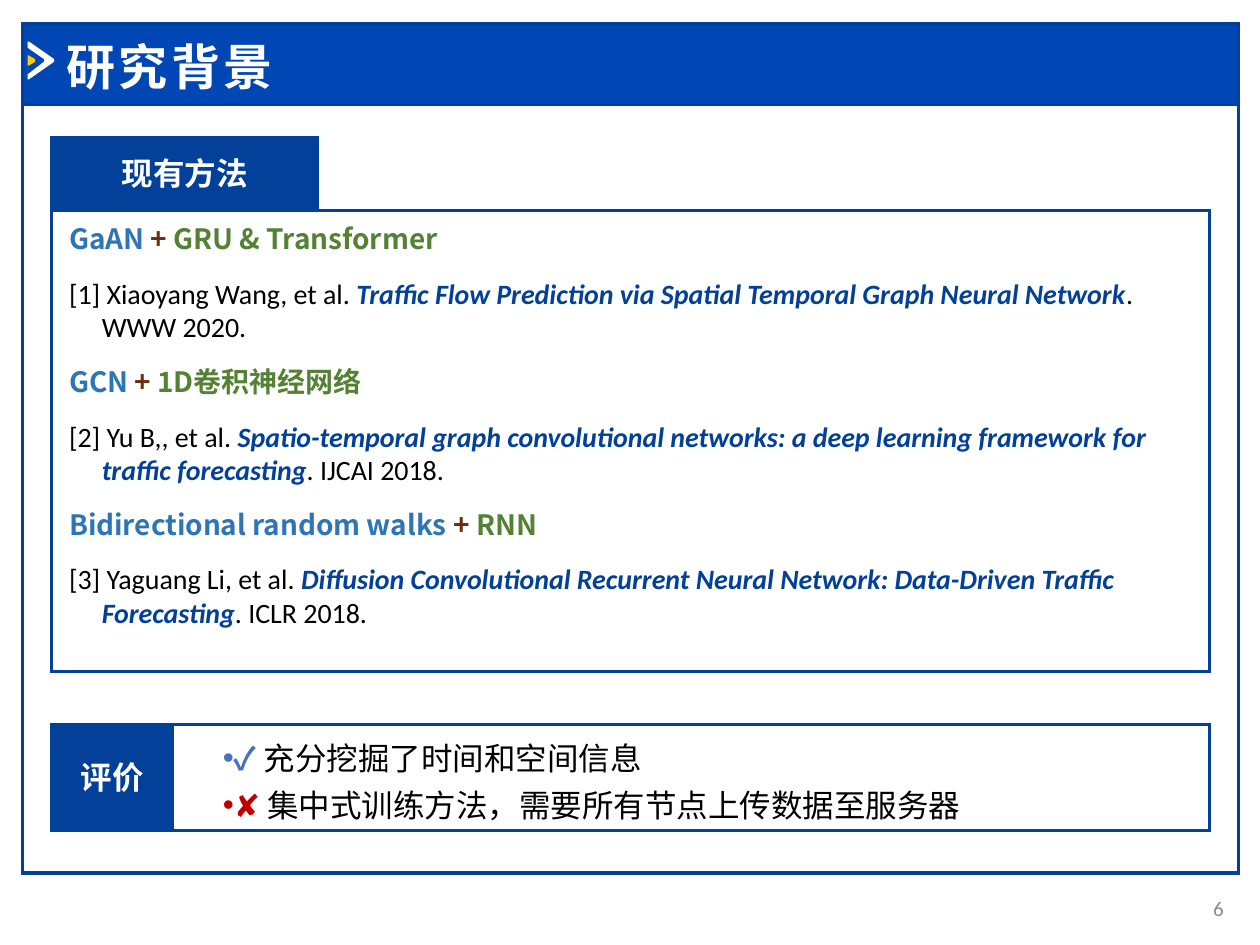
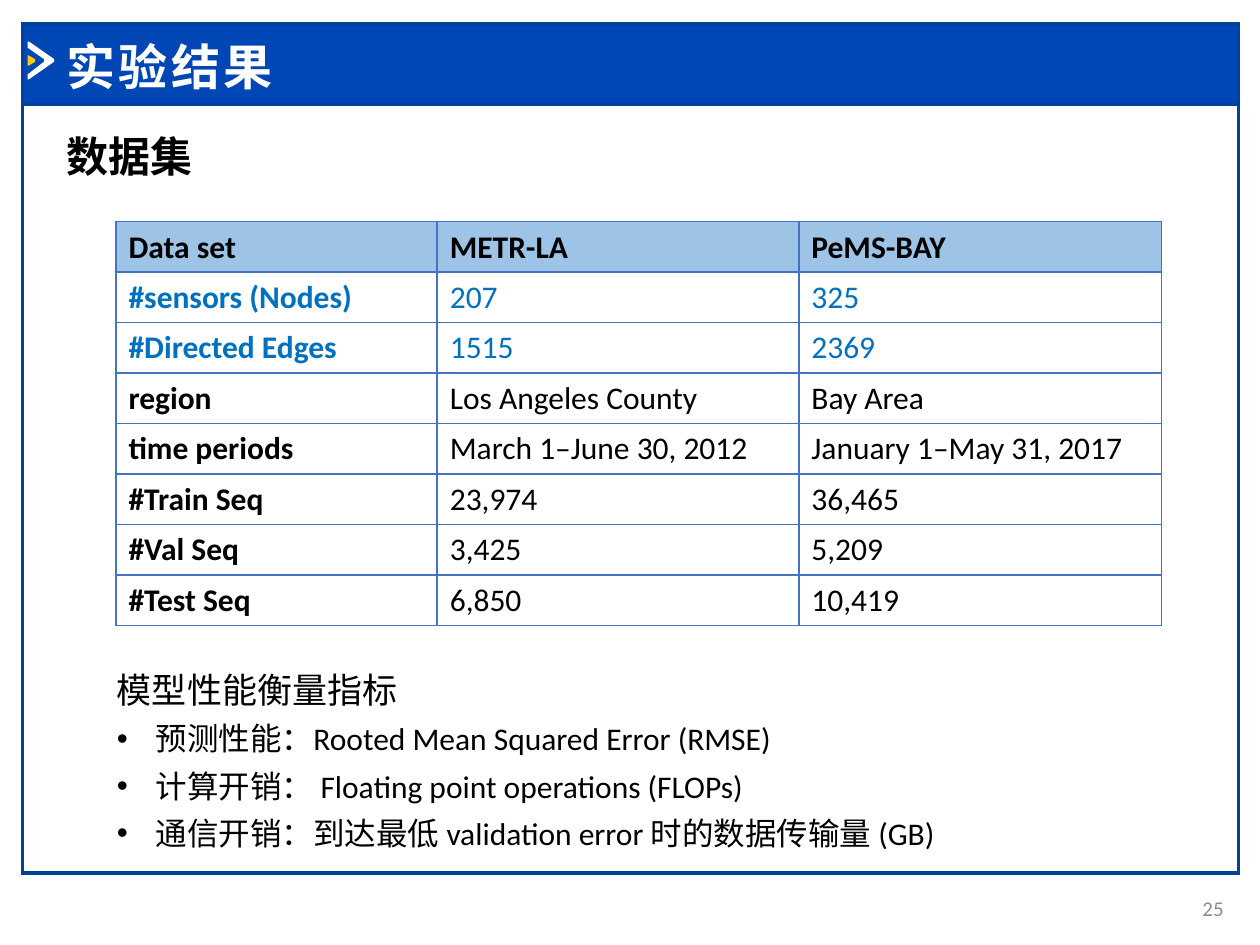
import pptx
import pptx.dml.color
import pptx.enum.shapes
import pptx.enum.text
import pptx.oxml.ns
import pptx.util
from lxml import etree

Inches = pptx.util.Inches
Pt = pptx.util.Pt
RGBColor = pptx.dml.color.RGBColor
qn = pptx.oxml.ns.qn
ALIGN = pptx.enum.text.PP_ALIGN
MIDDLE = pptx.enum.text.MSO_ANCHOR.MIDDLE

NAVY = RGBColor(0x02, 0x40, 0x9A)
BAND_BLUE = RGBColor(0x00, 0x47, 0xB5)
WHITE = RGBColor(0xFF, 0xFF, 0xFF)
BLACK = RGBColor(0x00, 0x00, 0x00)
YELLOW = RGBColor(0xFF, 0xCC, 0x00)
GREY = RGBColor(0x8C, 0x8C, 0x8C)
SPATIAL_BLUE = RGBColor(0x2E, 0x75, 0xB6)
PLUS_BROWN = RGBColor(0x6B, 0x2D, 0x0B)
TEMPORAL_GREEN = RGBColor(0x54, 0x82, 0x35)
BORDER_BLUE = RGBColor(0x44, 0x72, 0xC4)
RED = RGBColor(0xC0, 0x00, 0x00)
HEADER_BLUE = RGBColor(0x9D, 0xC3, 0xE6)
GRAPH_BLUE = RGBColor(0x00, 0x70, 0xC0)
LATIN = "Calibri"
CJK = "Noto Sans CJK SC"


def add_box(slide, left, top, width, height, line=None, fill=None):
    """Add a rectangle when a line width is given, otherwise a text box."""
    place = [Inches(length) for length in (left, top, width, height)]
    if line is None:
        box = slide.shapes.add_textbox(*place)
    else:
        box = slide.shapes.add_shape(pptx.enum.shapes.MSO_SHAPE.RECTANGLE, *place)
        box.shadow.inherit = False
        box.line.color.rgb = NAVY
        box.line.width = Pt(line)
        outline = box.line._get_or_add_ln()
        etree.SubElement(outline, qn("a:miter")).set("lim", "800000")
        if fill is None:
            box.fill.background()
        else:
            box.fill.solid()
            box.fill.fore_color.rgb = fill
    box.text_frame.word_wrap = True
    return box


def write(paragraph, runs, size, font=LATIN, margin=None, indent=0, bullet=False):
    """Fill a paragraph with runs of (text, colour, style), style using b and i."""
    properties = paragraph._p.get_or_add_pPr()
    if margin is not None:
        properties.set("marL", str(Inches(margin)))
        properties.set("indent", str(Inches(indent)))
    if bullet:
        etree.SubElement(properties, qn("a:buFont")).set("typeface", "Arial")
        etree.SubElement(properties, qn("a:buChar")).set("char", "•")
    for text, color, style in runs:
        run = paragraph.add_run()
        run.text = text
        run.font.size = Pt(size)
        run.font.name = font
        run.font.color.rgb = color
        run.font.bold = "b" in style
        run.font.italic = "i" in style
        latin = run.font._element.find(qn("a:latin"))
        east_asian = etree.Element(qn("a:ea"))
        east_asian.set("typeface", CJK)
        latin.addnext(east_asian)


prs = pptx.Presentation()
prs.slide_width = Inches(10)
prs.slide_height = Inches(7.5)

# Frame, title band, chevron and page number of every slide
# Chevron points are in hundredths of an inch
chevron_parts = [
    ([(22, 33), (23, 33), (43, 47), (43, 49), (23, 63), (22, 63),
      (22, 59), (35, 49), (35, 47), (22, 38)], WHITE),
    ([(22, 44), (23, 44), (28, 47), (28, 49), (23, 52), (22, 52)], YELLOW),
]
slides = []
for heading, page in [("研究背景", "6"), ("实验结果", "25")]:
    slide = prs.slides.add_slide(prs.slide_layouts[6])
    slides.append(slide)
    add_box(slide, 0.18, 0.83, 9.65, 6.1, line=2)
    add_box(slide, 0.18, 0.19, 9.65, 0.64, line=2, fill=BAND_BLUE)
    for points, color in chevron_parts:
        builder = slide.shapes.build_freeform(*points[0], scale=Inches(0.01))
        builder.add_line_segments(points[1:], close=True)
        chevron = builder.convert_to_shape()
        chevron.shadow.inherit = False
        chevron.fill.solid()
        chevron.fill.fore_color.rgb = color
        chevron.line.fill.background()

    number = add_box(slide, 9.22, 7.01, 0.59, 0.4).text_frame
    number.vertical_anchor = MIDDLE
    number.paragraphs[0].alignment = ALIGN.RIGHT
    write(number.paragraphs[0], [(page, GREY, "")], 12)

    title = add_box(slide, 0.43, 0.24, 8.28, 0.57).text_frame
    title.vertical_anchor = MIDDLE
    write(title.paragraphs[0], [(heading, WHITE, "b")], 28)
    title.paragraphs[0].runs[0].font._element.set("spc", "200")

background, results = slides

# Research background: panels with their labels
add_box(background, 0.41, 1.67, 9.19, 3.66, line=1.5)
add_box(background, 1.37, 5.75, 8.23, 0.84, line=1.5)
for label, place in [("现有方法", (0.41, 1.09, 2.11, 0.57)), ("评价", (0.41, 5.75, 0.96, 0.84))]:
    tab = add_box(background, *place, line=1.5, fill=NAVY).text_frame
    tab.vertical_anchor = MIDDLE
    tab.paragraphs[0].alignment = ALIGN.CENTER
    write(tab.paragraphs[0], [(label, WHITE, "b")], 18)

# Existing methods, each with its reference
methods = [
    ("GaAN ", "GRU & Transformer", "[1] Xiaoyang Wang, et al. ",
     "Traffic Flow Prediction via Spatial Temporal Graph Neural Network", ". WWW 2020."),
    ("GCN ", "1D卷积神经网络", "[2] Yu B,, et al. ",
     "Spatio-temporal graph convolutional networks: a deep learning framework for traffic forecasting",
     ". IJCAI 2018."),
    ("Bidirectional random walks ", "RNN", "[3] Yaguang Li, et al. ",
     "Diffusion Convolutional Recurrent Neural Network: Data-Driven Traffic Forecasting",
     ". ICLR 2018."),
]
methods_text = add_box(background, 0.45, 1.71, 8.93, 3.62).text_frame
for index, (spatial, temporal, authors, paper, venue) in enumerate(methods):
    method = methods_text.add_paragraph() if index else methods_text.paragraphs[0]
    reference = methods_text.add_paragraph()
    write(method, [(spatial, SPATIAL_BLUE, "b"), ("+ ", PLUS_BROWN, "b"),
                   (temporal, TEMPORAL_GREEN, "b")], 16, CJK, 0.26, -0.26)
    write(reference, [(authors, BLACK, ""), (paper, NAVY, "bi"), (venue, BLACK, "")],
          16, LATIN, 0.26, -0.26)
    for paragraph in (method, reference):
        paragraph.space_after = Pt(6)
        paragraph.space_before = Pt(0 if paragraph is method and index == 0 else 6)

# Evaluation
verdicts = [
    ("✓ ", BORDER_BLUE, "b", "充分挖掘了时间和空间信息"),
    ("✘ ", RED, "", "集中式训练方法，需要所有节点上传数据至服务器"),
]
evaluation = add_box(background, 1.47, 5.74, 6.95, 0.85).text_frame
for index, (mark, color, style, verdict) in enumerate(verdicts):
    paragraph = evaluation.add_paragraph() if index else evaluation.paragraphs[0]
    write(paragraph, [(mark, color, style), (verdict, BLACK, "")],
          18, margin=0, indent=0.2, bullet=True)
    paragraph.line_spacing = 1.25

# Experiment results: data set table
subtitle = add_box(results, 0.43, 0.99, 1.2, 0.5).text_frame
subtitle.word_wrap = False
write(subtitle.paragraphs[0], [("数据集", BLACK, "b")], 24)

dataset_rows = [
    ("Data set", "METR-LA", "PeMS-BAY"),
    ("#sensors (Nodes)", "207", "325"),
    ("#Directed Edges", "1515", "2369"),
    ("region", "Los Angeles County", "Bay Area"),
    ("time periods", "March 1–June 30, 2012", "January 1–May 31, 2017"),
    ("#Train Seq", "23,974", "36,465"),
    ("#Val Seq", "3,425", "5,209"),
    ("#Test Seq", "6,850", "10,419"),
]
datasets = results.shapes.add_table(
    len(dataset_rows), 3, Inches(0.92), Inches(1.76), Inches(8.3), Inches(3.2)).table
for column, width in zip(datasets.columns, (2.55, 2.87, 2.88)):
    column.width = Inches(width)
for row, values in enumerate(dataset_rows):
    datasets.rows[row].height = Inches(0.4)
    for column, value in enumerate(values):
        cell = datasets.cell(row, column)
        cell.vertical_anchor = MIDDLE
        color = GRAPH_BLUE if row in (1, 2) else BLACK
        write(cell.text_frame.paragraphs[0],
              [(value, color, "b" if row == 0 or column == 0 else "")], 18)
        cell_properties = cell._tc.get_or_add_tcPr()
        for side in ("lnL", "lnR", "lnT", "lnB"):
            border = etree.SubElement(cell_properties, qn("a:" + side))
            border.set("w", str(Pt(1)))
            border_fill = etree.SubElement(border, qn("a:solidFill"))
            etree.SubElement(border_fill, qn("a:srgbClr")).set("val", str(BORDER_BLUE))
        if row == 0:
            cell.fill.solid()
            cell.fill.fore_color.rgb = HEADER_BLUE
        else:
            cell.fill.background()

# Performance metrics
metrics = add_box(results, 0.83, 5.17, 8, 1.63).text_frame
write(metrics.paragraphs[0], [("模型性能衡量指标", BLACK, "")], 20)
for metric in [
    "预测性能：Rooted Mean Squared Error (RMSE)",
    "计算开销： Floating point operations (FLOPs)",
    "通信开销：到达最低 validation error 时的数据传输量 (GB)",
]:
    write(metrics.add_paragraph(), [(metric, BLACK, "")], 18,
          margin=0.31, indent=-0.31, bullet=True)
for paragraph in metrics.paragraphs:
    paragraph.line_spacing = 1.25

prs.save("out.pptx")
